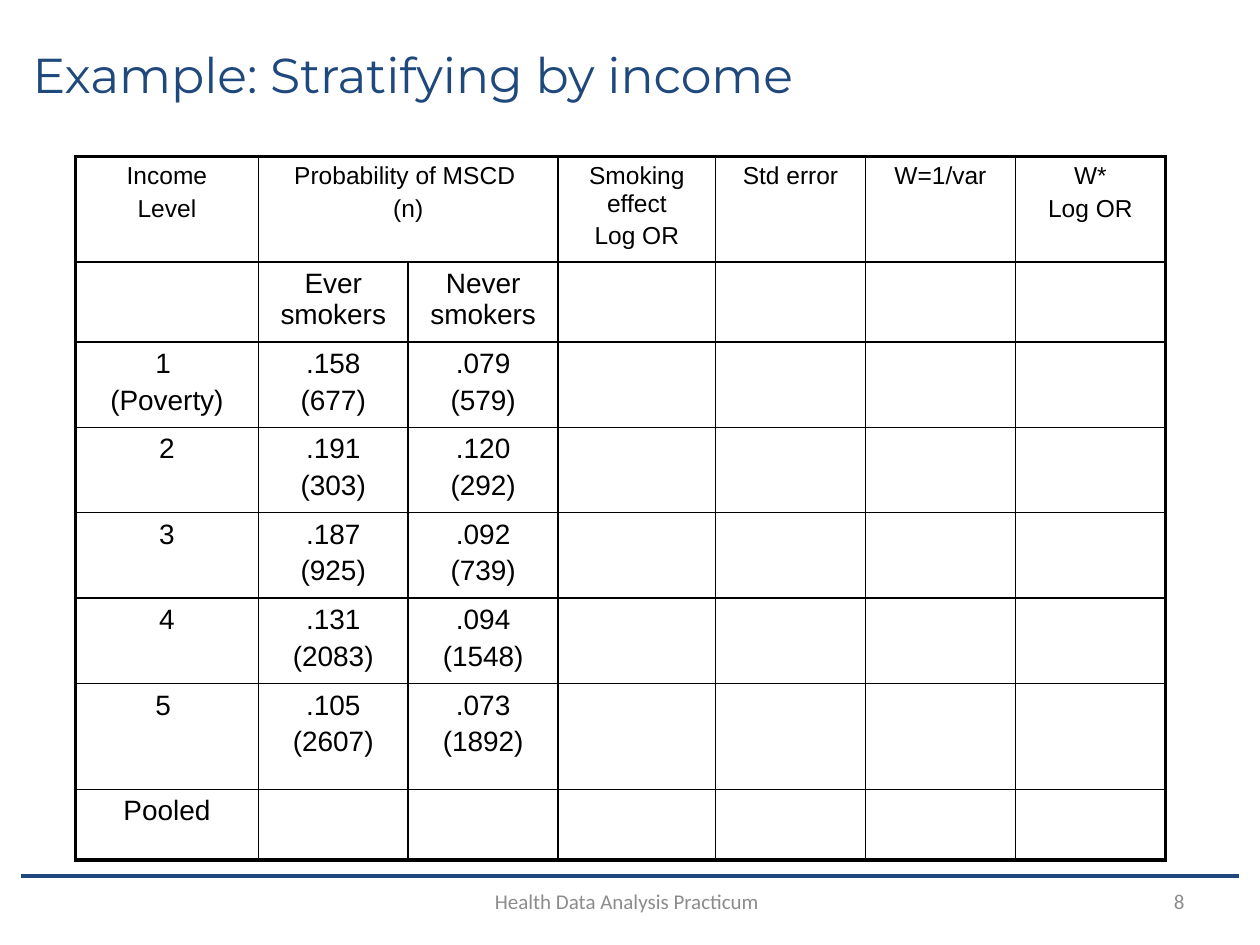
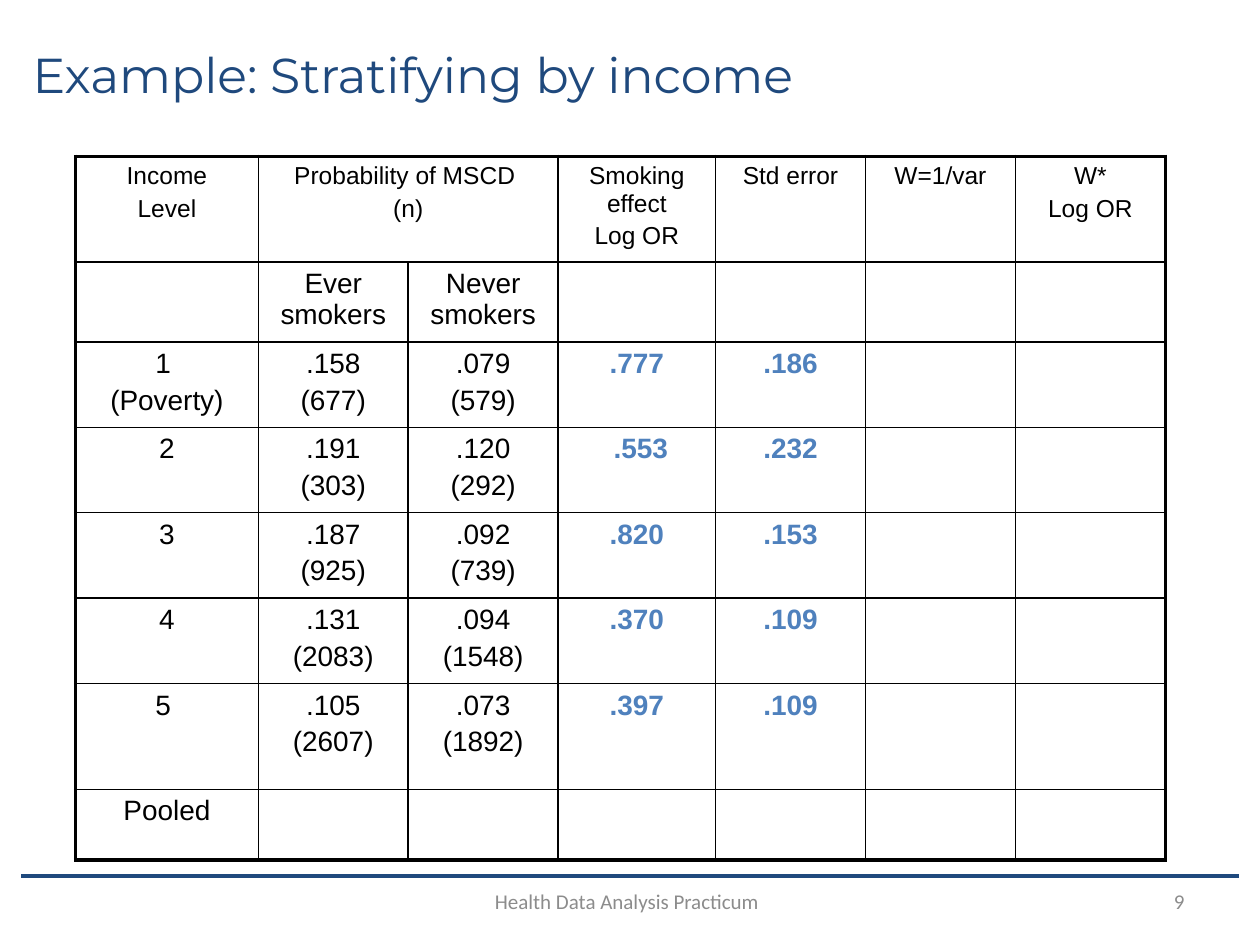
"""Build two slides that stratify smoking effects by income."""
from lxml import etree
from pptx import Presentation
from pptx.dml.color import RGBColor
from pptx.enum import shapes, text
from pptx.oxml import ns
from pptx.util import Inches, Pt

NAVY, BLUE, GREY, BLACK = "1F497D", "4F81BD", "8C8C8C", "000000"
TITLE = "Example: Stratifying by income"
FOOTER = "Health Data Analysis Practicum "
WIDTHS = [1.45, 1.19, 1.19, 1.25, 1.19, 1.19, 1.19]
HEIGHTS = [0.79, 0.63, 0.64, 0.64, 0.64, 0.64, 0.84, 0.56]
HEAD = ["Income\nLevel", "Probability of MSCD \n(n)", "", "Smoking effect\nLog OR",
        "Std error", "W=1/var", "W*\nLog OR"]
GROUPS = ["", "Ever smokers", "Never smokers"]
LEVELS = [
    ["1 \n(Poverty)", ".158\n(677)", ".079\n(579)"],
    ["2", ".191\n(303)", ".120\n(292)"],
    ["3", ".187\n(925)", ".092\n(739)"],
    ["4", ".131\n(2083)", ".094\n(1548)"],
    ["5 ", ".105\n(2607)", ".073\n(1892)"],
]
EFFECTS = [[".777", ".186"], [" .553", ".232"], [".820", ".153"],
           [".370", ".109"], [".397", ".109"]]


def color(code):
    """Turn a hex string into a colour."""
    return RGBColor.from_string(code)


def style(par, font, size, code, align, bold=False):
    """Format one paragraph."""
    par.alignment = align
    par.font.name, par.font.size, par.font.bold = font, Pt(size), bold
    par.font.color.rgb = color(code)


def add_title(slide):
    """Fill and place the title."""
    title = slide.shapes.title
    title.left, title.top = Inches(0.16), Inches(0.14)
    title.width, title.height = Inches(9.62), Inches(0.9)
    frame = title.text_frame
    frame.text = TITLE
    frame.vertical_anchor = text.MSO_ANCHOR.MIDDLE
    style(frame.paragraphs[0], "Montserrat", 28, NAVY, text.PP_ALIGN.LEFT)


def add_note(slide, words, left, width, align):
    """Add one small text to the footer."""
    box = slide.shapes.add_textbox(Inches(left), Inches(6.95), Inches(width), Inches(0.4))
    frame = box.text_frame
    frame.word_wrap = True
    frame.vertical_anchor = text.MSO_ANCHOR.MIDDLE
    frame.text = words
    style(frame.paragraphs[0], "Calibri", 12, GREY, align)


def add_footer(slide, number):
    """Add the rule, footer text and slide number."""
    rule = slide.shapes.add_connector(shapes.MSO_CONNECTOR.STRAIGHT, Inches(0.17),
                                      Inches(6.95), Inches(9.83), Inches(6.95))
    rule.line.color.rgb = color(NAVY)
    rule.line.width = Pt(2.5)
    etree.SubElement(rule._element.spPr, ns.qn("a:effectLst"))
    add_note(slide, str(number), 7.17, 2.33, text.PP_ALIGN.RIGHT)
    add_note(slide, FOOTER, 2.83, 4.33, text.PP_ALIGN.CENTER)


def add_edge(cell, side, width):
    """Draw one border of a cell."""
    line = etree.SubElement(cell._tc.get_or_add_tcPr(), ns.qn("a:ln" + side), w=str(Pt(width)))
    fill = etree.SubElement(line, ns.qn("a:solidFill"))
    etree.SubElement(fill, ns.qn("a:srgbClr"), val=BLACK)


def fill_cell(cell, words, size, code, bold):
    """Write centred lines into a cell."""
    cell.text = words
    for par in cell.text_frame.paragraphs:
        style(par, "Arial", size, code, text.PP_ALIGN.CENTER, bold)
        par.space_before = Pt(size * 0.2)


def add_grid(slide, effects):
    """Add the table of income levels."""
    levels = [level + effect for level, effect in zip(LEVELS, effects)]
    rows = [HEAD, GROUPS, *levels, ["Pooled"]]
    last, end = len(HEIGHTS) - 1, len(WIDTHS) - 1
    grid = slide.shapes.add_table(len(HEIGHTS), len(WIDTHS), Inches(0.6), Inches(1.24),
                                  Inches(sum(WIDTHS)), Inches(sum(HEIGHTS))).table
    grid.first_row = grid.horz_banding = False
    for col, width in zip(grid.columns, WIDTHS):
        col.width = Inches(width)
    for row, height in zip(grid.rows, HEIGHTS):
        row.height = Inches(height)
    for r in range(last + 1):
        for c in range(end + 1):
            cell = grid.cell(r, c)
            outer = {"L": c == 0, "R": c == end, "T": r == 0, "B": r == last}
            for side, thick in outer.items():
                add_edge(cell, side, 2.25 if thick else 1)
            cell.fill.background()
            if c < len(rows[r]) and rows[r][c]:
                effect = r > 1 and c > 2
                fill_cell(cell, rows[r][c], 14 if r == 0 else 16,
                          BLUE if effect else BLACK, effect)
    grid.cell(0, 1).merge(grid.cell(0, 2))


def main():
    """Build and save the slides."""
    deck = Presentation()
    deck.slide_width, deck.slide_height = Inches(10), Inches(7.5)
    blank = [[]] * len(LEVELS)
    for number, effects in enumerate([blank, EFFECTS], 8):
        slide = deck.slides.add_slide(deck.slide_layouts[5])
        add_footer(slide, number)
        add_title(slide)
        add_grid(slide, effects)
    deck.save("out.pptx")


if __name__ == "__main__":
    main()
